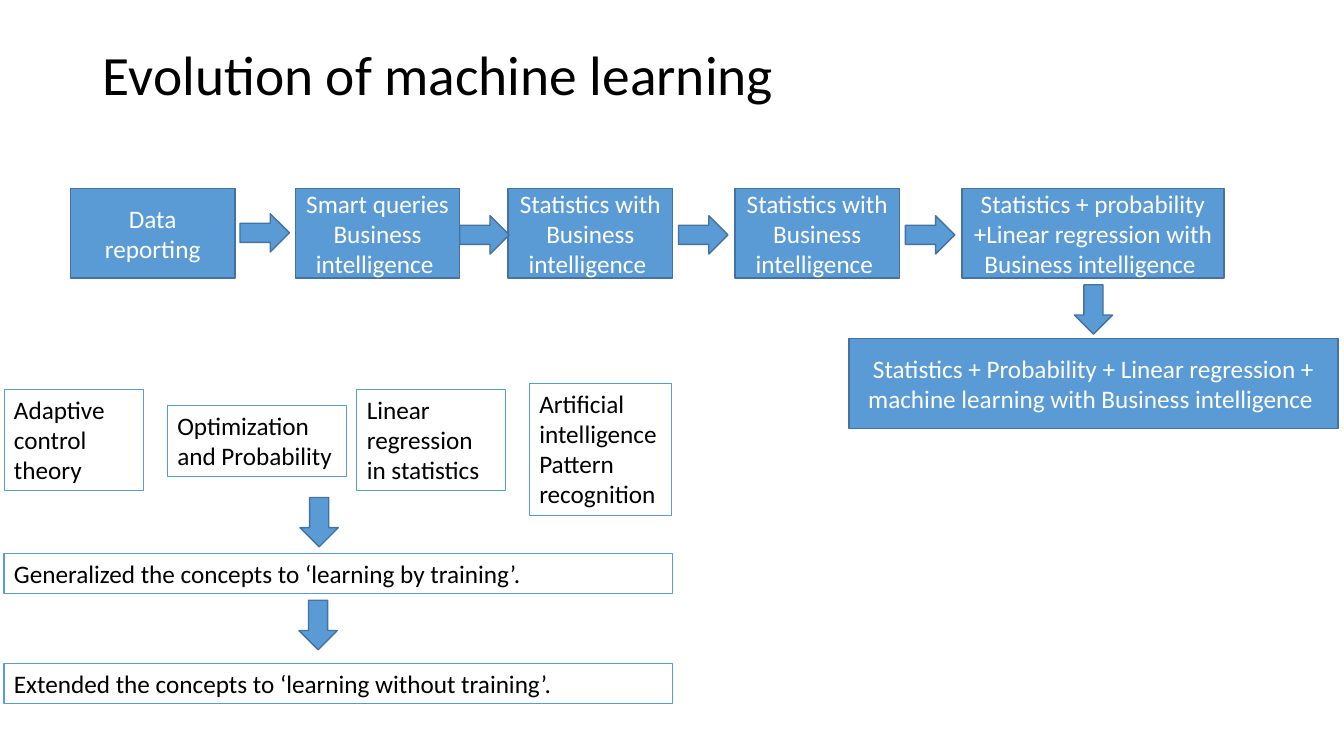
from pptx import Presentation
from pptx.dml.color import RGBColor
from pptx.enum.shapes import MSO_SHAPE
from pptx.enum.text import MSO_ANCHOR, MSO_AUTO_SIZE, PP_ALIGN
from pptx.util import Emu, Pt

RECTANGLE = MSO_SHAPE.RECTANGLE
RIGHT_ARROW = MSO_SHAPE.RIGHT_ARROW
MIDDLE, TOP = MSO_ANCHOR.MIDDLE, MSO_ANCHOR.TOP
CENTER, LEFT = PP_ALIGN.CENTER, PP_ALIGN.LEFT
FIT_SHAPE, FIXED = MSO_AUTO_SIZE.SHAPE_TO_FIT_TEXT, MSO_AUTO_SIZE.NONE

EMU_PER_PX = 9144
FONT = "Calibri"
COLORS = {"blue": "5B9BD5", "edge": "43739E", "black": "000000", "white": "FFFFFF"}

STAGE_TOP, STAGE_HEIGHT = 187, 89
STAGES = [
    (70, 163, "Data reporting"),
    (293, 163, "Smart queries Business intelligence "),
    (504, 163, "Statistics with Business intelligence "),
    (729, 163, "Statistics with Business intelligence "),
    (954, 260, "Statistics + probability +Linear regression with Business intelligence "),
]
FINAL_STAGE = "Statistics + Probability + Linear regression + machine learning with Business intelligence "
THEORIES = [
    (4, 386, 138, 101, "Adaptive control theory"),
    (166, 402, 178, 71, "Optimization and Probability"),
    (354, 386, 147, 101, "Linear regression in statistics"),
    (525, 380, 141, 131, "Artificial intelligence\nPattern recognition"),
]
CONCEPTS = [
    (549, "Generalized the concepts to ‘learning by training’."),
    (658, "Extended the concepts to ‘learning without training’."),
]
ARROW_WIDTH, ARROW_HEIGHT = 49, 38
RIGHT_ARROWS = [(238, 212), (456, 214), (673, 214), (898, 214)]
DOWN_ARROWS = [(292, 499), (291, 601), (1060, 288)]


def px(length):
    return Emu(length * EMU_PER_PX)


def color(name):
    return RGBColor.from_string(COLORS[name])


def write(shape, text, size=18, ink="black", align=LEFT, anchor=TOP, fit=FIXED, spacing=None):
    frame = shape.text_frame
    frame.text = text
    frame.word_wrap = True
    frame.auto_size = fit
    frame.vertical_anchor = anchor
    for para in frame.paragraphs:
        para.alignment = align
        para.line_spacing = spacing
        for span in para.runs:
            span.font.name = FONT
            span.font.size = Pt(size)
            span.font.color.rgb = color(ink)


def add_shape(page, kind, left, top, width, height, fill="blue", edge="edge", weight=1):
    shape = page.shapes.add_shape(kind, px(left), px(top), px(width), px(height))
    shape.shadow.inherit = False
    if fill:
        shape.fill.solid()
        shape.fill.fore_color.rgb = color(fill)
    else:
        shape.fill.background()
    shape.line.color.rgb = color(edge)
    shape.line.width = Pt(weight)
    return shape


def add_title(page, text):
    title = page.shapes.title
    title.left, title.top, title.width, title.height = px(92), px(40), px(1150), px(74)
    write(title, text, size=39.6, anchor=MIDDLE, spacing=0.9)


def add_stage(page, left, top, width, text):
    box = add_shape(page, RECTANGLE, left, top, width, STAGE_HEIGHT)
    write(box, text, ink="white", align=CENTER, anchor=MIDDLE)


def add_note(page, left, top, width, height, text):
    box = add_shape(page, RECTANGLE, left, top, width, height, fill=None, edge="blue", weight=0.75)
    write(box, text, fit=FIT_SHAPE)


def add_arrow(page, left, top, rotation=0):
    arrow = add_shape(page, RIGHT_ARROW, left, top, ARROW_WIDTH, ARROW_HEIGHT)
    arrow.rotation = rotation


def main():
    deck = Presentation()
    deck.slide_width, deck.slide_height = px(1333), px(750)
    page = deck.slides.add_slide(deck.slide_layouts[5])
    add_title(page, "Evolution of machine learning")
    for left, width, text in STAGES:
        add_stage(page, left, STAGE_TOP, width, text)
    add_stage(page, 842, 336, 485, FINAL_STAGE)
    for theory in THEORIES:
        add_note(page, *theory)
    for top, text in CONCEPTS:
        add_note(page, 4, top, 663, 40, text)
    for left, top in RIGHT_ARROWS:
        add_arrow(page, left, top)
    for left, top in DOWN_ARROWS:
        add_arrow(page, left, top, rotation=90)
    deck.save("out.pptx")


if __name__ == "__main__":
    main()
